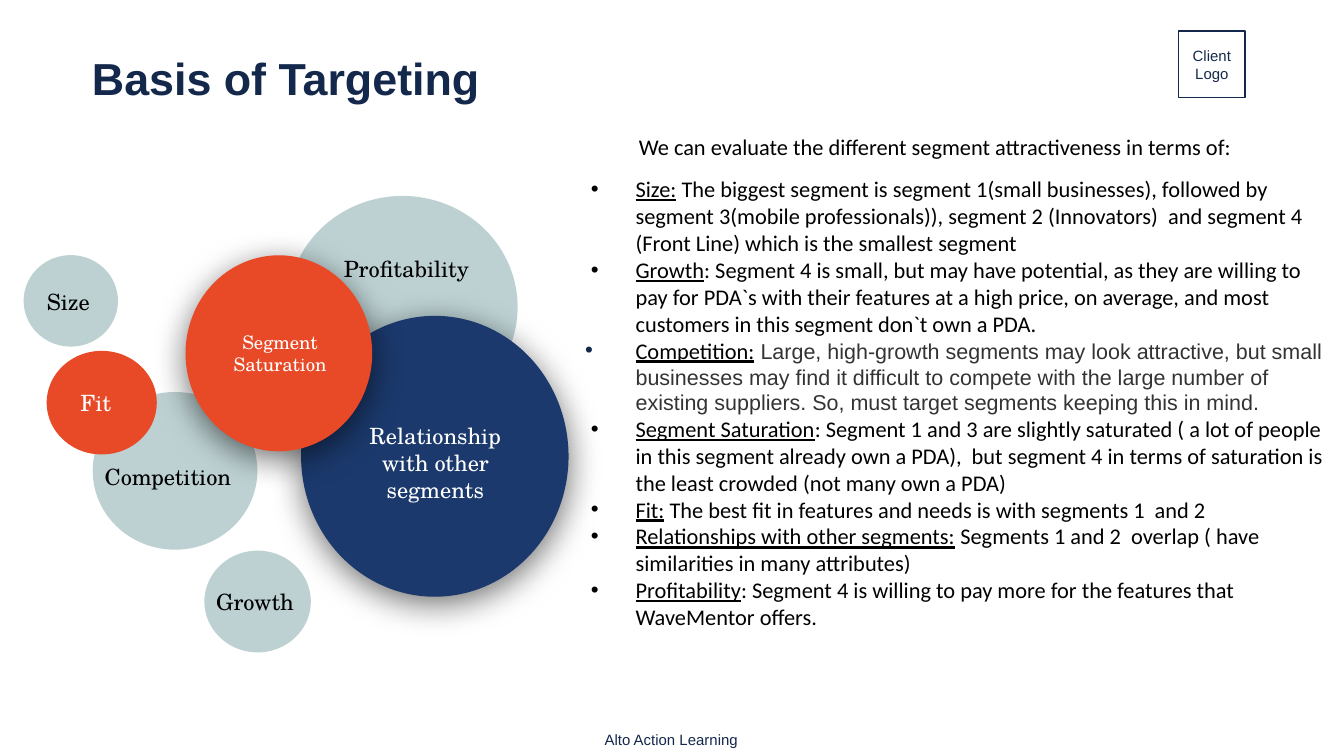
from dataclasses import dataclass
from typing import Any

from lxml import etree
from pptx import Presentation
from pptx.dml.color import RGBColor
from pptx.enum import shapes, text
from pptx.oxml import ns
from pptx.util import Pt

NAVY = RGBColor(0x13, 0x28, 0x4B)
BLUE = RGBColor(0x1B, 0x39, 0x6C)
ORANGE = RGBColor(0xE8, 0x49, 0x27)
MIST = RGBColor(0xBD, 0xD1, 0xD3)
GREY = RGBColor(0x33, 0x33, 0x33)
BLACK = RGBColor(0, 0, 0)
WHITE = RGBColor(255, 255, 255)

SANS, BODY, SERIF = "Arial", "Calibri", "TeX Gyre Schola"
LEFT, CENTER = text.PP_ALIGN.LEFT, text.PP_ALIGN.CENTER
TOP, MIDDLE = text.MSO_ANCHOR.TOP, text.MSO_ANCHOR.MIDDLE
SIDES = ("margin_left", "margin_top", "margin_right", "margin_bottom")


@dataclass(frozen=True)
class Box:
    left: float
    top: float
    width: float
    height: float

    def lengths(self) -> tuple:
        return Pt(self.left), Pt(self.top), Pt(self.width), Pt(self.height)


@dataclass(frozen=True)
class Style:
    size: float
    name: str
    color: RGBColor
    bold: bool = False


@dataclass(frozen=True)
class Circle:
    box: Box
    fill: RGBColor
    shadow: bool = False


@dataclass(frozen=True)
class Label:
    words: str
    box: Box
    style: Style
    align: Any = LEFT
    anchor: Any = TOP
    inset: float = 7.2
    line: RGBColor | None = None
    spacing: float = 1.0


@dataclass(frozen=True)
class Point:
    term: str
    rest: str
    style: Style
    bullet: RGBColor = BLACK
    hang: float = 24
    space_before: float = 0


SMALL = Style(8, SANS, NAVY)
DARK, LIGHT = Style(12, SERIF, BLACK), Style(12, SERIF, WHITE)
PLAIN = Style(12, BODY, BLACK)
BIG_TITLE = Style(24, SANS, NAVY, True)

CIRCLES = [
    Circle(Box(109.5, 295, 57, 54.5), MIST),
    Circle(Box(12.7, 136.7, 50.5, 49), MIST),
    Circle(Box(49.7, 210, 88.2, 84.5), MIST),
    Circle(Box(154, 105, 123.3, 119), MIST),
    Circle(Box(25, 188, 59, 55.5), ORANGE),
    Circle(Box(161.3, 169.2, 143.3, 150.5), BLUE, shadow=True),
    Circle(Box(99.4, 136.8, 100, 105), ORANGE, shadow=True),
]

LABELS = [
    Label("Client Logo", Box(631.5, 16.7, 35.5, 35.5), SMALL, CENTER, MIDDLE, 0, NAVY),
    Label("Alto Action Learning", Box(306, 388.8, 107.3, 14.4), SMALL, CENTER, MIDDLE, 0),
    Label("Basis of Targeting", Box(49.3, 16.5, 399, 54), BIG_TITLE, LEFT, MIDDLE, 0, spacing=0.9),
    Label("Relationship with other segments", Box(178.5, 211.7, 109.5, 72), LIGHT, CENTER, MIDDLE),
    Label("Segment Saturation", Box(115.8, 154, 68.4, 70), Style(10, SERIF, WHITE), CENTER, MIDDLE),
    Label("Size", Box(18, 147, 44.6, 29), DARK),
    Label("Competition", Box(49, 241, 91.4, 29), DARK),
    Label("Profitability", Box(177.1, 129.6, 98.6, 29), DARK),
    Label("Growth", Box(108.7, 308, 62, 29), DARK),
    Label("Fit", Box(36, 201, 37.4, 29), LIGHT),
]

INTRO = "We can evaluate the different segment attractiveness in terms of:"
POINTS = [
    Point("Size:", " The biggest segment is segment 1(small businesses), followed by segment 3(mobile "
          "professionals)), segment 2 (Innovators)  and segment 4 (Front Line) which is the "
          "smallest segment", PLAIN, space_before=8),
    Point("Growth", ": Segment 4 is small, but may have potential, as they are willing to pay for PDA`s "
          "with their features at a high price, on average, and most customers in this segment "
          "don`t own a PDA.", PLAIN),
    Point("Competition:", " Large, high-growth segments may look attractive, but small businesses may "
          "find it difficult to compete with the large number of existing suppliers. So, must "
          "target segments keeping this in mind.", Style(11.5, SANS, GREY), NAVY, 27),
    Point("Segment Saturation", ": Segment 1 and 3 are slightly saturated ( a lot of people in this "
          "segment already own a PDA),  but segment 4 in terms of saturation is the least crowded "
          "(not many own a PDA)", PLAIN),
    Point("Fit:", " The best fit in features and needs is with segments 1  and 2", PLAIN),
    Point("Relationships with other segments:", " Segments 1 and 2  overlap ( have similarities in "
          "many attributes)", PLAIN),
    Point("Profitability", ": Segment 4 is willing to pay more for the features that WaveMentor offers.",
          PLAIN),
]


def set_all(target: Any, values: dict) -> None:
    for key, value in values.items():
        setattr(target, key, value)


def add_span(para: Any, words: str, style: Style, underline: bool = False) -> None:
    span = para.add_run()
    span.text = words
    set_all(span.font, {"size": Pt(style.size), "name": style.name, "bold": style.bold,
                        "underline": underline})
    span.font.color.rgb = style.color


def add_shadow(shape: Any) -> None:
    """Soft black shadow falling straight down."""
    effects = shape._element.spPr.find(ns.qn("a:effectLst"))
    outer = etree.SubElement(effects, ns.qn("a:outerShdw"), blurRad=str(Pt(18)), dist=str(Pt(4)),
                             dir="5400000", algn="ctr", rotWithShape="0")
    color = etree.SubElement(outer, ns.qn("a:srgbClr"), val=str(BLACK))
    etree.SubElement(color, ns.qn("a:alpha"), val="55000")


def add_circle(page: Any, circle: Circle) -> None:
    shape = page.shapes.add_shape(shapes.MSO_SHAPE.OVAL, *circle.box.lengths())
    shape.fill.solid()
    shape.fill.fore_color.rgb = circle.fill
    shape.line.fill.background()
    shape.shadow.inherit = False
    if circle.shadow:
        add_shadow(shape)


def add_frame(page: Any, box: Box, inset: float, anchor: Any, line: RGBColor | None = None) -> Any:
    """Add a text box, or an outlined rectangle when a line colour is given."""
    if line is None:
        shape = page.shapes.add_textbox(*box.lengths())
    else:
        shape = page.shapes.add_shape(shapes.MSO_SHAPE.RECTANGLE, *box.lengths())
        shape.shadow.inherit = False
        shape.fill.background()
        shape.line.color.rgb = line
        shape.line.width = Pt(0.75)
    frame = shape.text_frame
    set_all(frame, {"word_wrap": True, "vertical_anchor": anchor, **dict.fromkeys(SIDES, Pt(inset))})
    return frame


def add_label(page: Any, label: Label) -> None:
    para = add_frame(page, label.box, label.inset, label.anchor, label.line).paragraphs[0]
    set_all(para, {"alignment": label.align, "line_spacing": label.spacing})
    add_span(para, label.words, label.style)


def indent(para: Any, left: float, first: float = 0) -> Any:
    """Set the indents and return the paragraph properties."""
    props = para._p.get_or_add_pPr()
    props.set("marL", str(Pt(left)))
    props.set("indent", str(Pt(first)))
    return props


def add_point(frame: Any, point: Point) -> None:
    para = frame.add_paragraph()
    para.space_before = Pt(point.space_before)
    props = indent(para, 36, -point.hang)
    color = etree.SubElement(props, ns.qn("a:buClr"))
    etree.SubElement(color, ns.qn("a:srgbClr"), val=str(point.bullet))
    etree.SubElement(props, ns.qn("a:buFont"), typeface=SANS)
    etree.SubElement(props, ns.qn("a:buChar"), char="•")
    add_span(para, point.term, PLAIN, underline=True)
    add_span(para, point.rest, point.style)


def main() -> None:
    deck = Presentation()
    set_all(deck, {"slide_width": Pt(720), "slide_height": Pt(405)})
    page = deck.slides.add_slide(deck.slide_layouts[6])
    for circle in CIRCLES:
        add_circle(page, circle)
    for label in LABELS:
        add_label(page, label)
    frame = add_frame(page, Box(304.5, 71.6, 409, 302.5), 0, TOP)
    indent(frame.paragraphs[0], 37.7)
    add_span(frame.paragraphs[0], INTRO, PLAIN)
    for point in POINTS:
        add_point(frame, point)
    deck.save("out.pptx")


if __name__ == "__main__":
    main()
